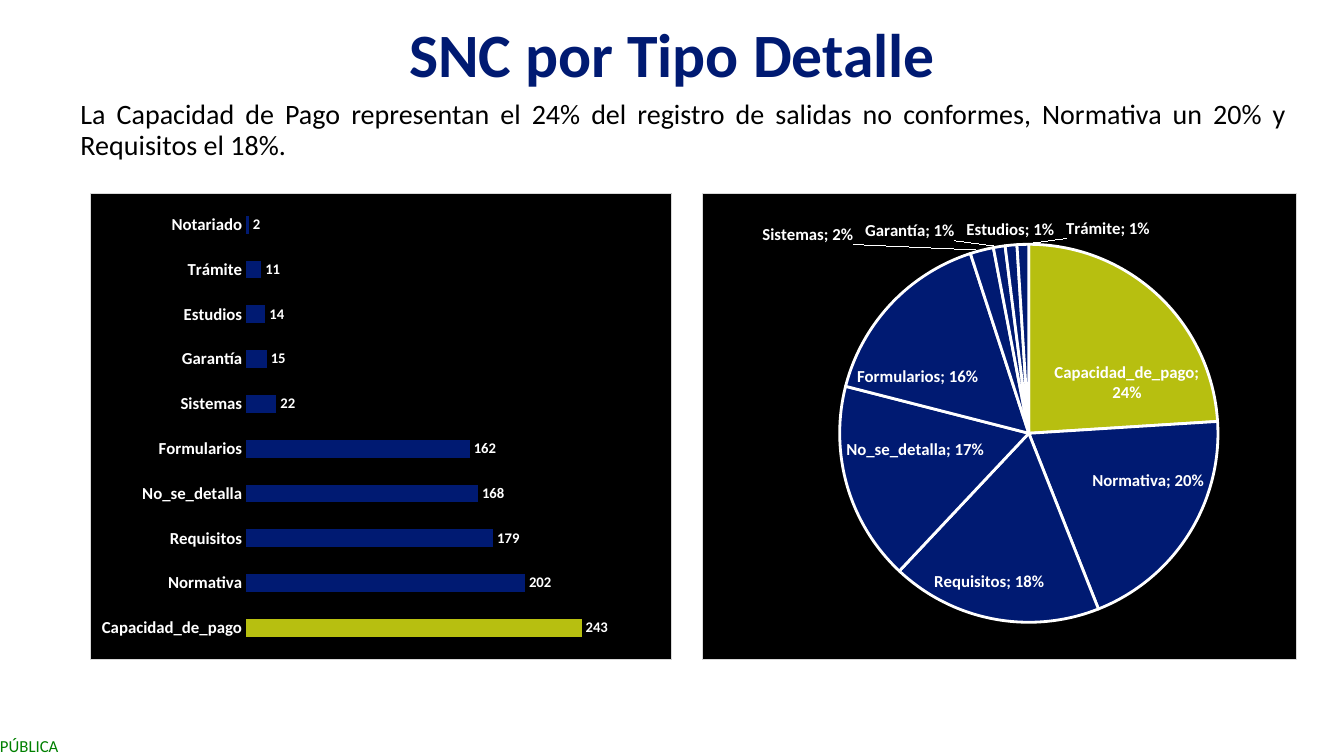
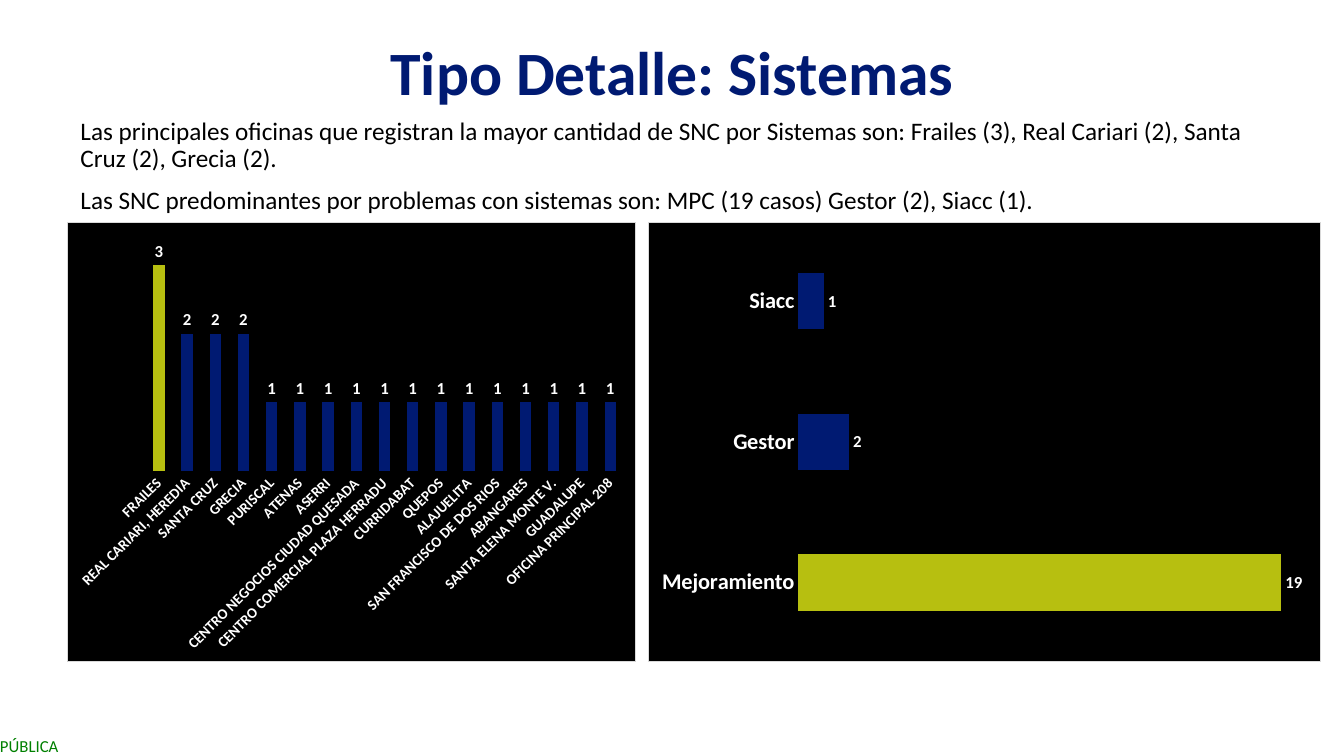
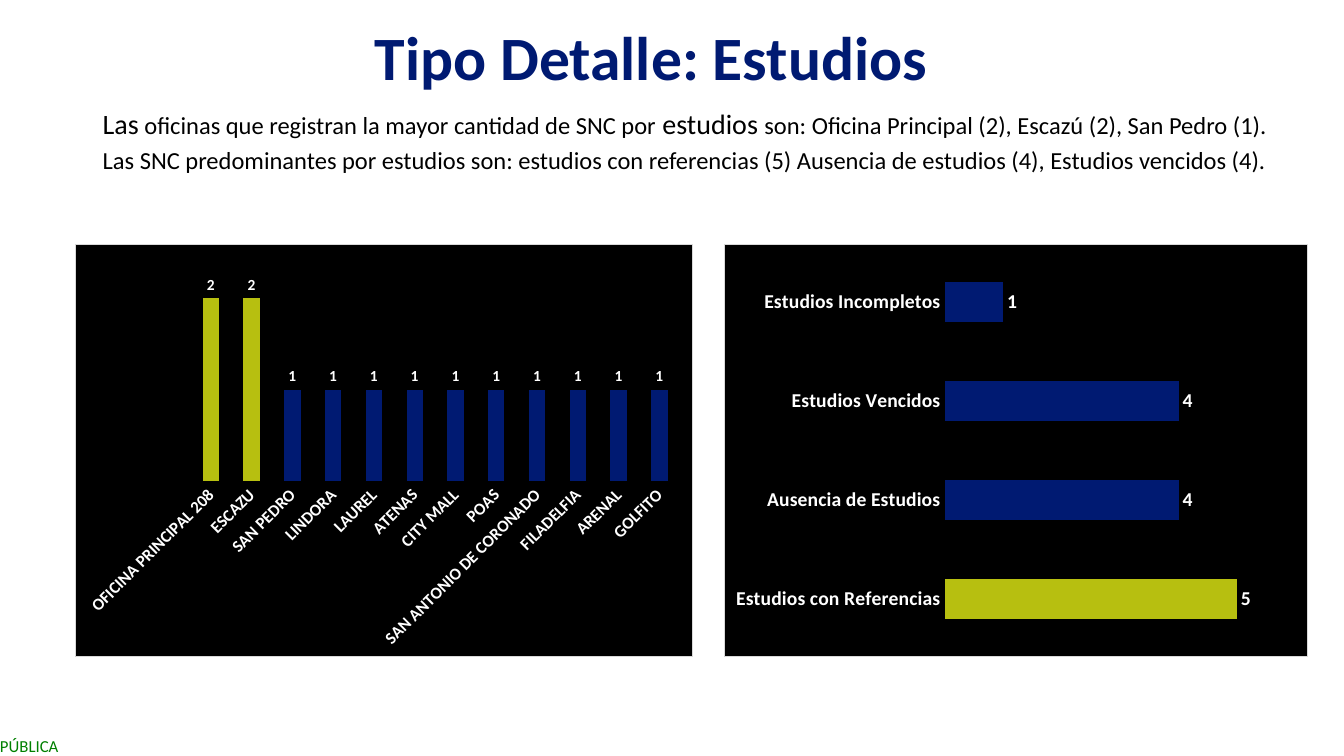
"""Build three slides that chart nonconforming outputs by type of detail."""
from dataclasses import dataclass, field
from typing import NamedTuple

from lxml.etree import SubElement
from pptx import Presentation
from pptx.chart.chart import Chart
from pptx.chart.data import CategoryChartData
from pptx.dml.color import RGBColor
from pptx.enum.chart import XL_CHART_TYPE, XL_LABEL_POSITION, XL_TICK_LABEL_POSITION, XL_TICK_MARK
from pptx.enum.text import MSO_ANCHOR, MSO_AUTO_SIZE, PP_ALIGN
from pptx.oxml import parse_xml
from pptx.oxml.ns import nsdecls, qn
from pptx.slide import Slide
from pptx.text.text import Font, TextFrame
from pptx.util import Inches, Pt


@dataclass(frozen=True)
class Theme:
    face: str = "Calibri"
    navy: str = "001A72"
    lime: str = "B7BF10"
    green: str = "008000"
    black: str = "000000"
    white: str = "FFFFFF"
    edge: str = "D9D9D9"
    title: float = 44
    foot: float = 12
    base: float = 10


class Box(NamedTuple):
    left: float
    top: float
    width: float
    height: float


class Run(NamedTuple):
    text: str
    size: float


class Nudge(NamedTuple):
    index: int
    x: float
    y: float


@dataclass(frozen=True)
class Graph:
    kind: XL_CHART_TYPE
    box: Box
    data: dict[str, float]
    label: float
    axis: float = 12
    hits: int = 1


@dataclass(frozen=True)
class Page:
    title: str
    head: Box
    body: Box
    lines: list[list[Run]]
    graphs: list[Graph]
    align: PP_ALIGN = PP_ALIGN.JUSTIFY
    pitch: float = 0.9


@dataclass(frozen=True)
class Pie:
    frame: Box = Box(0.23, 0.11, 0.64, 0.81)
    nudges: list[Nudge] = field(default_factory=list)


THEME = Theme()
PIE = Pie()
BAR = XL_CHART_TYPE.BAR_CLUSTERED
COLUMN = XL_CHART_TYPE.COLUMN_CLUSTERED
ROUND = XL_CHART_TYPE.PIE

TYPES = {
    "Capacidad_de_pago": 243, "Normativa": 202, "Requisitos": 179,
    "No_se_detalla": 168, "Formularios": 162, "Sistemas": 22,
    "Garantía": 15, "Estudios": 14, "Trámite": 11, "Notariado": 2,
}
SHARES = {name: round(count / sum(TYPES.values()), 2) for name, count in TYPES.items()}
SITES = {"FRAILES": 3} | dict.fromkeys(["REAL CARIARI, HEREDIA", "SANTA CRUZ", "GRECIA"], 2) | dict.fromkeys([
    "PURISCAL", "ATENAS", "ASERRI", "CENTRO NEGOCIOS CIUDAD QUESADA",
    "CENTRO COMERCIAL PLAZA HERRADU", "CURRIDABAT", "QUEPOS", "ALAJUELITA",
    "SAN FRANCISCO DE DOS RIOS", "ABANGARES", "SANTA ELENA MONTE V.",
    "GUADALUPE", "OFICINA PRINCIPAL 208"], 1)
STUDIES = dict.fromkeys(["OFICINA PRINCIPAL 208", "ESCAZU"], 2) | dict.fromkeys([
    "SAN PEDRO", "LINDORA", "LAUREL", "ATENAS", "CITY MALL", "POAS",
    "SAN ANTONIO DE CORONADO", "FILADELFIA", "ARENAL", "GOLFITO"], 1)

PAGES = [
    Page(
        "SNC por Tipo Detalle", Box(2.55, 0.17, 8.24, 0.78), Box(0.7, 0.95, 12.16, 0.78),
        [[Run("La Capacidad de Pago representan el 24% del registro de salidas no conformes, "
              "Normativa un 20% y Requisitos el 18%. ", 20)]],
        [Graph(BAR, Box(0.89, 1.91, 5.78, 4.64), TYPES, 10.5),
         Graph(ROUND, Box(6.96, 1.91, 5.9, 4.64), SHARES, 12)],
    ),
    Page(
        "Tipo Detalle: Sistemas", Box(2.55, 0.2, 8.24, 0.93), Box(0.7, 1.13, 11.94, 1.07),
        [[Run("Las principales oficinas que registran la mayor cantidad de SNC por Sistemas son: "
              "Frailes (3), Real Cariari (2), Santa Cruz (2), Grecia (2).", 18)],
         [Run("Las SNC predominantes por problemas con sistemas son: "
              "MPC (19 casos) Gestor (2), Siacc (1).", 18)]],
        [Graph(COLUMN, Box(0.66, 2.2, 5.65, 4.37), SITES, 12, 10.5),
         Graph(BAR, Box(6.43, 2.2, 6.67, 4.37), {"Mejoramiento": 19, "Gestor": 2, "Siacc": 1}, 12, 16)],
        PP_ALIGN.LEFT,
    ),
    Page(
        "Tipo Detalle: Estudios", Box(2.34, 0.05, 8.24, 0.93), Box(0.92, 1.1, 12.06, 1.21),
        [[Run("Las", 20), Run(" oficinas que registran la mayor cantidad de SNC por ", 17.5),
          Run("estudios ", 20), Run("son: Oficina Principal (2), Escazú (2), San Pedro (1). ", 17.5)],
         [Run("Las SNC predominantes por estudios", 17.5), Run(" ", 15),
          Run("son: estudios con referencias (5) Ausencia de estudios (4), Estudios vencidos (4).", 17.5)]],
        [Graph(COLUMN, Box(0.74, 2.42, 6.13, 4.1), STUDIES, 11, hits=2),
         Graph(BAR, Box(7.18, 2.42, 5.79, 4.1),
               {"Estudios con Referencias": 5, "Ausencia de Estudios": 4,
                "Estudios Vencidos": 4, "Estudios Incompletos": 1}, 14, 14)],
        pitch=0.7,
    ),
]


def place(box: Box) -> list[int]:
    """Turn a box in inches into lengths."""
    return [Inches(side) for side in box]


def style(font: Font, size: float, tint: str, bold: bool = False) -> None:
    """Set the face, size, colour and weight of a font."""
    font.name, font.size, font.bold = THEME.face, Pt(size), bold
    font.color.rgb = RGBColor.from_string(tint)


def write(slide: Slide, box: Box, lines: list[list[Run]], tint: str, bold: bool = False,
          align: PP_ALIGN = PP_ALIGN.LEFT, pitch: float = 1) -> TextFrame:
    """Add a text box with one paragraph for each line."""
    frame = slide.shapes.add_textbox(*place(box)).text_frame
    frame.word_wrap = True
    for rank, line in enumerate(lines):
        para = frame.add_paragraph() if rank else frame.paragraphs[0]
        para.alignment, para.line_spacing = align, pitch
        if rank:
            para.space_before = Pt(10)
        sizes = [part.size for part in line]
        style(para.font, max(sizes, key=sizes.count), tint, bold)
        for part in line:
            run = para.add_run()
            run.text = part.text
            if len(set(sizes)) > 1:
                run.font.size = Pt(part.size)
    return frame


def stamp(slide: Slide) -> None:
    """Add the footer mark."""
    frame = write(slide, Box(0, 7.3, 0.83, 0.2), [[Run("PÚBLICA", THEME.foot)]], THEME.green)
    frame.margin_left = frame.margin_top = frame.margin_right = frame.margin_bottom = 0
    frame.auto_size = MSO_AUTO_SIZE.SHAPE_TO_FIT_TEXT


def panel(chart: Chart) -> None:
    """Give a chart its dark ground and thin edge."""
    root = chart.element
    root.find(qn("c:chart")).addnext(parse_xml(
        f'<c:spPr {nsdecls("c", "a")}><a:solidFill><a:srgbClr val="{THEME.black}"/></a:solidFill>'
        f'<a:ln w="9525"><a:solidFill><a:srgbClr val="{THEME.edge}"/></a:solidFill></a:ln></c:spPr>'))


def axes(chart: Chart, graph: Graph) -> None:
    """Style the axes of a bar or column chart."""
    chart.value_axis.visible = False
    chart.value_axis.has_major_gridlines = False
    chart.value_axis.minimum_scale = 0
    names = chart.category_axis
    names.major_tick_mark = names.minor_tick_mark = XL_TICK_MARK.NONE
    names.tick_label_position = XL_TICK_LABEL_POSITION.NEXT_TO_AXIS
    names.format.line.fill.background()
    style(names.tick_labels.font, graph.axis, THEME.white, True)
    if graph.kind == COLUMN:
        names._element.find(qn("c:txPr")).find(qn("a:bodyPr")).set("rot", "-2700000")


def slices(chart: Chart) -> None:
    """Frame the pie and set its label text."""
    area = chart.element.find(".//" + qn("c:plotArea"))
    for old in area.findall(qn("c:layout")):
        area.remove(old)
    layout = SubElement(area, qn("c:layout"))
    area.insert(0, layout)
    manual = SubElement(layout, qn("c:manualLayout"))
    rules = {"layoutTarget": "inner", "xMode": "edge", "yMode": "edge"}
    for tag, value in (rules | dict(zip("xywh", PIE.frame))).items():
        SubElement(manual, qn(f"c:{tag}")).set("val", str(value))
    labels = chart.plots[0].series[0].data_labels
    labels.show_category_name = True
    labels.number_format, labels.number_format_is_linked = "0%", False
    labels.position = XL_LABEL_POSITION.BEST_FIT
    mark = parse_xml(f'<c:separator {nsdecls("c")}>; </c:separator>')
    labels._element.find(qn("c:showBubbleSize")).addnext(mark)


def draw(slide: Slide, graph: Graph) -> None:
    """Add one chart."""
    data = CategoryChartData()
    data.categories = list(graph.data)
    data.add_series("Series 1", list(graph.data.values()))
    chart = slide.shapes.add_chart(graph.kind, *place(graph.box), data).chart
    chart.has_title = chart.has_legend = False
    style(chart.font, THEME.base, THEME.black)
    panel(chart)
    plot = chart.plots[0]
    plot.vary_by_categories = graph.kind == ROUND
    series = plot.series[0]
    series.format.fill.solid()
    series.format.fill.fore_color.rgb = RGBColor.from_string(THEME.navy)
    labels = series.data_labels
    labels.show_value = True
    style(labels.font, graph.label, THEME.white, True)
    for rank in range(len(graph.data) if graph.kind == ROUND else graph.hits):
        form = series.points[rank].format
        form.fill.solid()
        form.fill.fore_color.rgb = RGBColor.from_string(THEME.lime if rank < graph.hits else THEME.navy)
        if graph.kind == ROUND:
            form.line.width = Pt(2)
            form.line.color.rgb = RGBColor.from_string(THEME.white)
    if graph.kind == ROUND:
        slices(chart)
    else:
        series.invert_if_negative = False
        plot.gap_width = 150
        labels.position = XL_LABEL_POSITION.OUTSIDE_END
        axes(chart, graph)


def main() -> None:
    """Build and save the slides."""
    deck = Presentation()
    deck.slide_width, deck.slide_height = Inches(13.33), Inches(7.5)
    for page in PAGES:
        slide = deck.slides.add_slide(deck.slide_layouts[6])
        stamp(slide)
        head = write(slide, page.head, [[Run(page.title, THEME.title)]], THEME.navy, True,
                     PP_ALIGN.CENTER, 0.9)
        head.vertical_anchor = MSO_ANCHOR.BOTTOM
        write(slide, page.body, page.lines, THEME.black, align=page.align, pitch=page.pitch)
        for graph in page.graphs:
            draw(slide, graph)
    deck.save("out.pptx")


if __name__ == "__main__":
    main()
